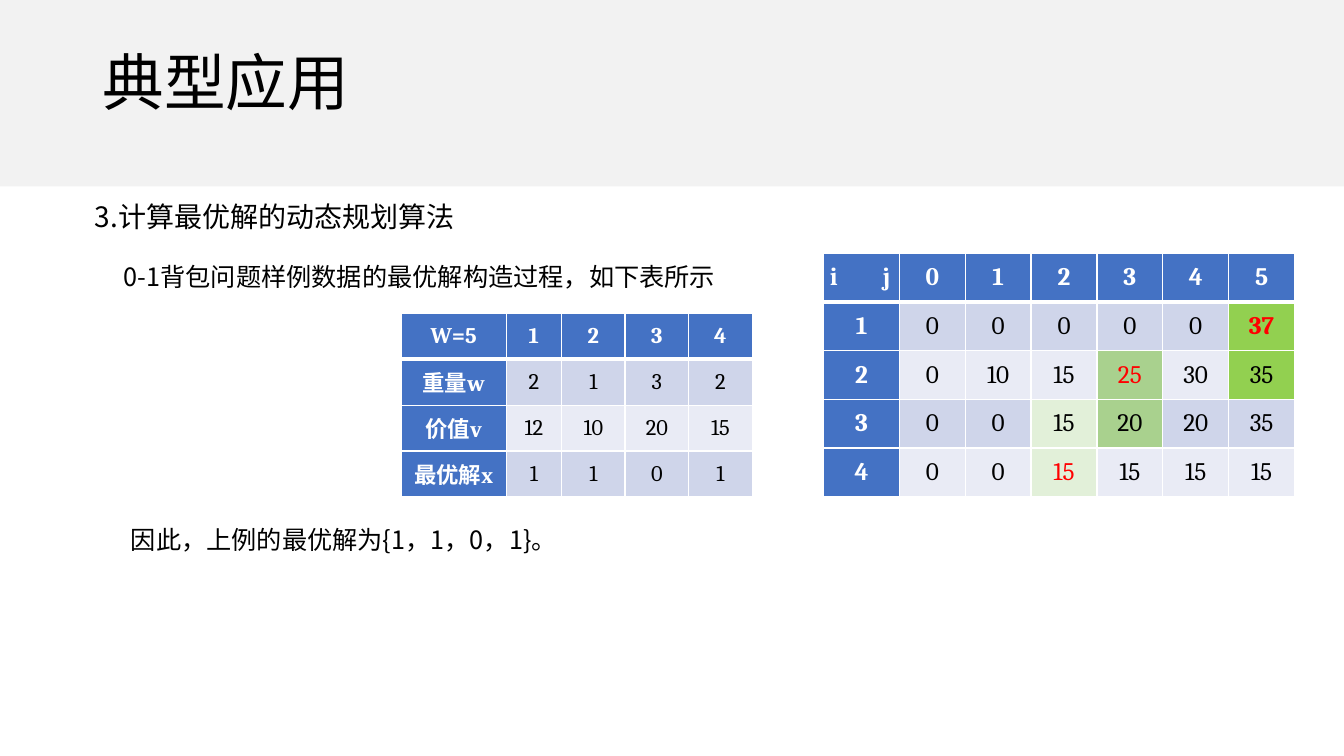
from lxml.etree import SubElement
from pptx import Presentation
from pptx.dml.color import RGBColor
from pptx.enum.shapes import MSO_SHAPE as Shape
from pptx.enum.text import MSO_ANCHOR as Anchor, MSO_AUTO_SIZE as AutoSize, PP_ALIGN as Align
from pptx.oxml.ns import qn
from pptx.util import Inches, Pt

WHITE = RGBColor(0xFF, 0xFF, 0xFF)
BLACK = RGBColor(0x00, 0x00, 0x00)
RED = RGBColor(0xFF, 0x00, 0x00)
GREY = RGBColor(0xF2, 0xF2, 0xF2)
BLUE = RGBColor(0x44, 0x72, 0xC4)
BAND_DARK = RGBColor(0xCF, 0xD5, 0xEA)
BAND_LIGHT = RGBColor(0xE9, 0xEB, 0xF5)
GREEN_BRIGHT = RGBColor(0x92, 0xD0, 0x50)
GREEN_MID = RGBColor(0xA9, 0xD1, 0x8E)
GREEN_PALE = RGBColor(0xE2, 0xF0, 0xD9)

SANS = "Noto Sans CJK SC"
SERIF = "Cambria"

ITEM_ROWS = [
    ["W=5", "1", "2", "3", "4"],
    ["重量w", "2", "1", "3", "2"],
    ["价值v", "12", "10", "20", "15"],
    ["最优解x", "1", "1", "0", "1"],
]
VALUE_ROWS = [
    ["i\tj", "0", "1", "2", "3", "4", "5"],
    ["1", "0", "0", "0", "0", "0", "37"],
    ["2", "0", "10", "15", "25", "30", "35"],
    ["3", "0", "0", "15", "20", "20", "35"],
    ["4", "0", "0", "15", "15", "15", "15"],
]
VALUE_FILLS = {
    (1, 6): GREEN_BRIGHT, (2, 6): GREEN_BRIGHT,
    (2, 4): GREEN_MID, (3, 4): GREEN_MID,
    (3, 3): GREEN_PALE, (4, 3): GREEN_PALE,
}
VALUE_RED = {(1, 6), (2, 4), (4, 3)}
VALUE_BOLD = {(1, 6)}


def write_text(frame, text, size, font=SANS, color=BLACK, bold=False, align=Align.LEFT):
    """Fill the first paragraph of a text frame and return it."""
    para = frame.paragraphs[0]
    para.alignment = align
    span = para.add_run()
    span.text = text
    span.font.size = Pt(size)
    span.font.bold = bold
    span.font.color.rgb = color
    span.font.name = font
    SubElement(span.font._element, qn("a:ea"), typeface=SANS)
    return para


def add_band(page, left, top, width, height, color):
    """Add a plain filled rectangle."""
    band = page.shapes.add_shape(
        Shape.RECTANGLE, Inches(left), Inches(top), Inches(width), Inches(height))
    band.shadow.inherit = False
    band.fill.solid()
    band.fill.fore_color.rgb = color
    band.line.fill.background()


def add_text(page, text, left, top, width, height, size,
             anchor=Anchor.TOP, fit=AutoSize.SHAPE_TO_FIT_TEXT, spacing=1.0):
    """Add a wrapping text box with one paragraph."""
    box = page.shapes.add_textbox(Inches(left), Inches(top), Inches(width), Inches(height))
    frame = box.text_frame
    frame.word_wrap = True
    frame.auto_size = fit
    frame.vertical_anchor = anchor
    write_text(frame, text, size).line_spacing = spacing


def add_borders(cell, top, bottom):
    """Draw white cell borders with the given top and bottom widths in points."""
    properties = cell._tc.get_or_add_tcPr()
    for side, width in (("L", 1), ("R", 1), ("T", top), ("B", bottom)):
        line = SubElement(properties, qn(f"a:ln{side}"), w=str(Pt(width)))
        fill = SubElement(line, qn("a:solidFill"))
        SubElement(fill, qn("a:srgbClr"), val=str(WHITE))


def add_right_tab(para, position):
    """Set a right-aligned tab stop in a left-aligned paragraph."""
    para.alignment = Align.LEFT
    stops = SubElement(para._p.get_or_add_pPr(), qn("a:tabLst"))
    SubElement(stops, qn("a:tab"), pos=str(Inches(position)), algn="r")


def add_grid(page, rows, left, top, height, widths, size, inset,
             fills=None, red=(), bold=()):
    """Add a table with blue headings and banded body rows."""
    fills = fills or {}
    table = page.shapes.add_table(
        len(rows), len(widths), Inches(left), Inches(top),
        Inches(sum(widths)), Inches(height)).table
    for column, width in zip(table.columns, widths):
        column.width = Inches(width)
    for r, texts in enumerate(rows):
        table.rows[r].height = Inches(height / len(rows))
        band = BAND_DARK if r % 2 else BAND_LIGHT
        for c, text in enumerate(texts):
            heading = r == 0 or c == 0
            cell = table.cell(r, c)
            cell.margin_left = cell.margin_right = Inches(inset)
            cell.margin_top = cell.margin_bottom = 0
            cell.vertical_anchor = Anchor.MIDDLE
            add_borders(cell, top=3 if r == 1 else 1, bottom=3 if r == 0 else 1)
            cell.fill.solid()
            cell.fill.fore_color.rgb = BLUE if heading else fills.get((r, c), band)
            color = WHITE if heading else RED if (r, c) in red else BLACK
            para = write_text(cell.text_frame, text, size, font=SERIF, color=color,
                              bold=heading or (r, c) in bold, align=Align.CENTER)
            if "\t" in text:
                add_right_tab(para, widths[c] - 2 * inset - 0.03)


def main():
    """Build the slide and save the deck."""
    deck = Presentation()
    deck.slide_width = Inches(13.33)
    deck.slide_height = Inches(7.5)
    page = deck.slides.add_slide(deck.slide_layouts[6])

    add_band(page, 0, 0, 13.33, 1.85, GREY)
    add_text(page, "典型应用", 0.92, 0.12, 11.5, 1.45, 44,
             anchor=Anchor.MIDDLE, fit=AutoSize.NONE, spacing=0.9)
    add_text(page, "3.计算最优解的动态规划算法", 0.84, 1.93, 11.28, 0.44, 20)
    add_text(page, "0-1背包问题样例数据的最优解构造过程，如下表所示", 1.13, 2.54, 10.23, 0.4, 18)
    add_grid(page, ITEM_ROWS, 3.98, 3.11, 1.82, [1.04, 0.55] + [0.63] * 3, 16, 0.05)
    add_text(page, "因此，上例的最优解为{1，1，0，1}。", 1.2, 5.15, 7.21, 0.4, 18)
    add_grid(page, VALUE_ROWS, 8.17, 2.51, 2.42, [0.75] + [3.92 / 6] * 6, 18, 0.06,
             fills=VALUE_FILLS, red=VALUE_RED, bold=VALUE_BOLD)

    deck.save("out.pptx")


if __name__ == "__main__":
    main()
